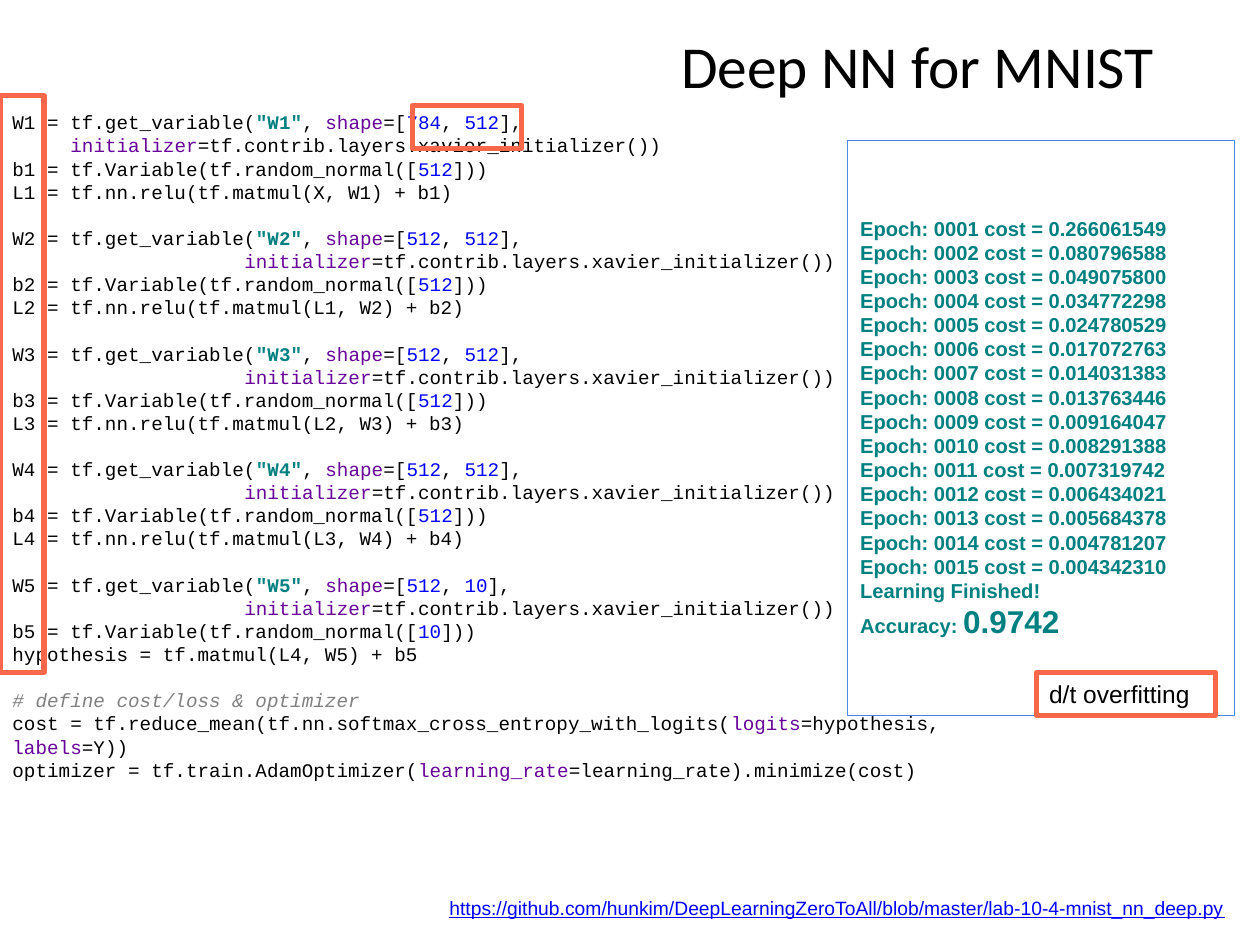
"""Build the slide on a deep neural network for MNIST."""
from dataclasses import dataclass
from typing import NamedTuple

from pptx import Presentation
from pptx.dml.color import RGBColor
from pptx.enum import shapes, text
from pptx.oxml.ns import qn
from pptx.util import Cm, Pt


@dataclass(frozen=True)
class Style:
    """Look of a run of text."""
    size: float
    color: str = "000000"
    font: str = "Arial"
    bold: bool = False
    italic: bool = False
    underline: bool = False


@dataclass(frozen=True)
class Theme:
    """Colours and type sizes of the slide."""
    title: Style = Style(34, font="Calibri")
    code: Style = Style(11, font="Courier New")
    string: Style = Style(11, "008080", "Courier New", bold=True)
    keyword: Style = Style(11, "660099", "Courier New")
    number: Style = Style(11, "0000FF", "Courier New")
    comment: Style = Style(11, "808080", "Courier New", italic=True)
    log: Style = Style(11.5, "008080", bold=True)
    accuracy: Style = Style(18, "008080", bold=True)
    link: Style = Style(11, "0000FF", underline=True)
    note: Style = Style(14)
    panel_line: str = "4A86E8"
    mark_line: str = "FA684C"
    leading: float = 1.2


class Box(NamedTuple):
    """Left, top, width and height in centimetres."""
    left: float
    top: float
    width: float
    height: float


class Span(NamedTuple):
    """Piece of a line in one style."""
    text: str
    style: Style


class Line(NamedTuple):
    """Paragraph, with a line of space above when it opens a block."""
    spans: list[Span]
    opens: bool = False


class Layer(NamedTuple):
    """Names and sizes that vary between network layers."""
    index: int
    inputs: str
    outputs: str
    indent: int
    result: str


T = Theme()
INSET = 0.25
LAYERS = [
    Layer(1, "784", "512", 5, "L1 = tf.nn.relu(tf.matmul(X, W1) + b1)"),
    *(Layer(i, "512", "512", 20, f"L{i} = tf.nn.relu(tf.matmul(L{i - 1}, W{i}) + b{i})")
      for i in (2, 3, 4)),
    Layer(5, "512", "10", 20, "hypothesis = tf.matmul(L4, W5) + b5"),
]
COSTS = ["0.266061549", "0.080796588", "0.049075800", "0.034772298", "0.024780529",
         "0.017072763", "0.014031383", "0.013763446", "0.009164047", "0.008291388",
         "0.007319742", "0.006434021", "0.005684378", "0.004781207", "0.004342310"]
URL = "https://github.com/hunkim/DeepLearningZeroToAll/blob/master/lab-10-4-mnist_nn_deep.py"
MARKS = [Box(0, 1.93, 0.89, 11.63), Box(8.31, 2.13, 2.21, 0.86)]


def code(*parts: str | Span, opens: bool = False) -> Line:
    """Make a code line, taking bare strings as plain code."""
    return Line([Span(p, T.code) if type(p) is str else p for p in parts], opens)


def layer_lines(layer: Layer) -> list[Line]:
    """Return the code that defines one layer."""
    i = layer.index
    outputs = Span(layer.outputs, T.number)
    return [
        code(f"W{i} = tf.get_variable(", Span(f'"W{i}"', T.string), ", ",
             Span("shape", T.keyword), "=[", Span(layer.inputs, T.number), ", ",
             outputs, "],", opens=i > 1),
        code(" " * layer.indent, Span("initializer", T.keyword),
             "=tf.contrib.layers.xavier_initializer())"),
        code(f"b{i} = tf.Variable(tf.random_normal([", outputs, "]))"),
        code(layer.result),
    ]


def code_lines() -> list[Line]:
    """Return the whole listing."""
    return [line for layer in LAYERS for line in layer_lines(layer)] + [
        Line([Span("# define cost/loss & optimizer", T.comment)], True),
        code("cost = tf.reduce_mean(tf.nn.softmax_cross_entropy_with_logits(",
             Span("logits", T.keyword), "=hypothesis, ", Span("labels", T.keyword), "=Y))"),
        code("optimizer = tf.train.AdamOptimizer(", Span("learning_rate", T.keyword),
             "=learning_rate).minimize(cost)"),
    ]


def log_lines() -> list[Line]:
    """Return the training log."""
    rows = [f"Epoch: {n:04d} cost = {cost}" for n, cost in enumerate(COSTS, 1)]
    return [Line([Span(row, T.log)]) for row in rows + ["Learning Finished!"]] + [
        Line([Span("Accuracy: ", T.log), Span("0.9742", T.accuracy)])]


def place(sp, box: Box) -> None:
    """Move and size a shape."""
    sp.left, sp.top, sp.width, sp.height = map(Cm, box)


def write(sp, lines: list[Line], inset: float = INSET,
          anchor=text.MSO_ANCHOR.MIDDLE, align=text.PP_ALIGN.LEFT) -> None:
    """Fill a shape with styled lines."""
    tf = sp.text_frame
    tf.word_wrap = True
    tf.auto_size = text.MSO_AUTO_SIZE.NONE
    tf.vertical_anchor = anchor
    tf.margin_left = tf.margin_right = tf.margin_top = tf.margin_bottom = Cm(inset)
    for n, line in enumerate(lines):
        p = tf.add_paragraph() if n else tf.paragraphs[0]
        pPr = p._p.get_or_add_pPr()
        pPr.set("marL", "0")
        pPr.set("indent", "0")
        pPr.append(pPr.makeelement(qn("a:buNone"), {}))
        pitch = Pt(T.leading * max(s.style.size for s in line.spans))
        p.alignment, p.line_spacing = align, pitch
        p.space_before, p.space_after = pitch if line.opens else Pt(0), Pt(0)
        for span in line.spans:
            r = p.add_run()
            r.text = span.text
            f, style = r.font, span.style
            f.name, f.size = style.font, Pt(style.size)
            f.bold, f.italic, f.underline = style.bold, style.italic, style.underline
            f.color.rgb = RGBColor.from_string(style.color)


def add_frame(slide, box: Box, color: str, width: float):
    """Add an unfilled rectangle."""
    sp = slide.shapes.add_shape(shapes.MSO_SHAPE.RECTANGLE, *map(Cm, box))
    sp.shadow.inherit = False
    sp.fill.background()
    sp.line.color.rgb = RGBColor.from_string(color)
    sp.line.width = Pt(width)
    return sp


def main() -> None:
    """Build and save the slide."""
    prs = Presentation()
    prs.slide_width, prs.slide_height = Cm(25.4), Cm(19.05)
    slide = prs.slides.add_slide(prs.slide_layouts[1])
    title, body = slide.placeholders
    place(title, Box(11.86, 0.18, 13.28, 2.24))
    write(title, [Line([Span("Deep NN for MNIST", T.title)])], 0.08,
          align=text.PP_ALIGN.CENTER)
    place(body, Box(0, 0, 21.26, 18.44))
    write(body, code_lines())
    body.text_frame.margin_bottom = Cm(INSET) + Pt(T.leading * T.code.size)

    panel = add_frame(slide, Box(17.09, 2.84, 7.8, 11.58), T.panel_line, 0.75)
    write(panel, log_lines())
    link = slide.shapes.add_textbox(*map(Cm, Box(8.81, 17.55, 16.59, 1.5)))
    write(link, [Line([Span(URL, T.link)])])
    for box in MARKS:
        add_frame(slide, box, T.mark_line, 3)
    note = add_frame(slide, Box(20.9, 13.56, 3.61, 0.86), T.mark_line, 3)
    write(note, [Line([Span("d/t overfitting", T.note)])], anchor=text.MSO_ANCHOR.TOP)
    note.text_frame.margin_top = note.text_frame.margin_bottom = Cm(0.13)
    prs.save("out.pptx")


if __name__ == "__main__":
    main()
